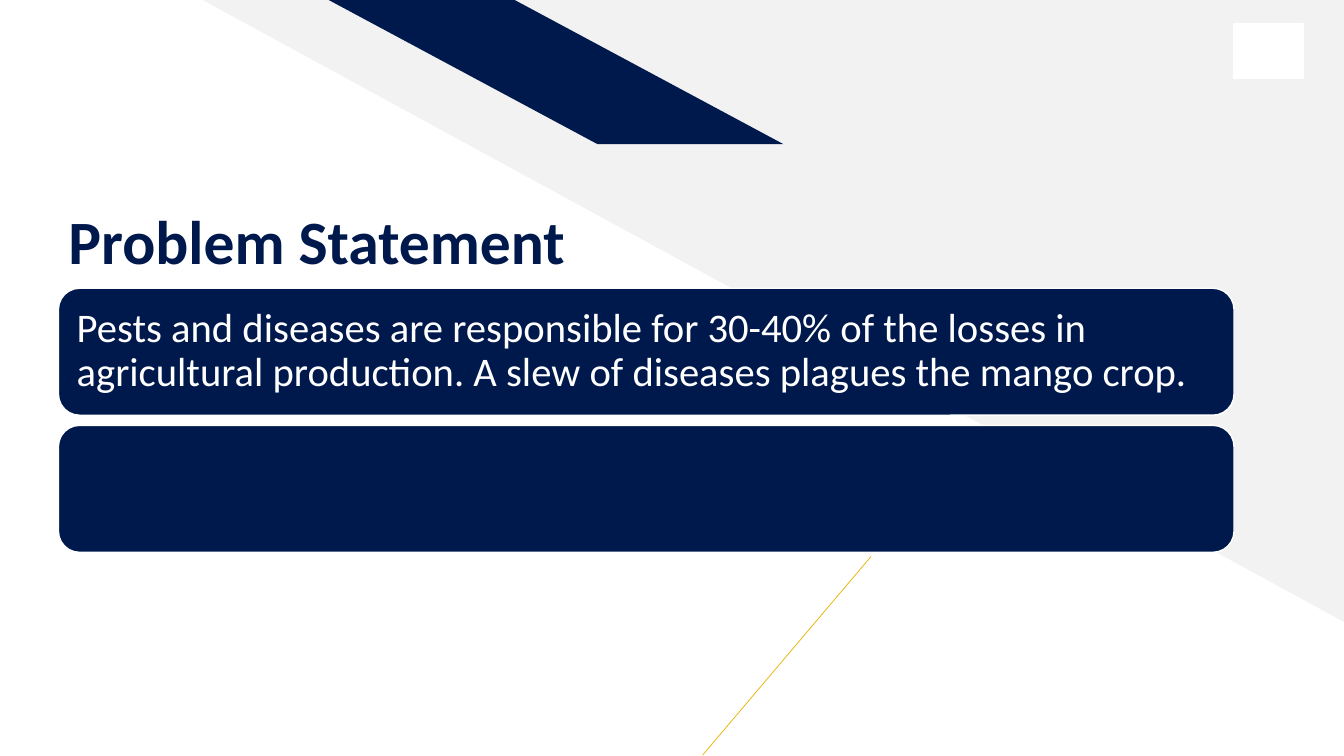
"""Build the problem statement slide."""
from dataclasses import dataclass

import lxml.etree
import pptx
import pptx.dml.color
import pptx.enum.shapes
import pptx.enum.text
import pptx.oxml.ns
import pptx.shapes.autoshape
import pptx.slide
import pptx.util

Inches = pptx.util.Inches
Kind = pptx.enum.shapes.MSO_SHAPE
Anchor = pptx.enum.text.MSO_ANCHOR

COLORS = {"navy": "00194C", "gray": "F2F2F2", "white": "FFFFFF", "gold": "EAB200"}
FONT = "Calibri"
LEFT, WIDTH = 0.58, 11.66
CARD_TOP, CARD_HIGH, CARD_GAP = 2.86, 1.26, 0.1
CARDS = [
    "Pests and diseases are responsible for 30-40% of the losses in "
    "agricultural production. A slew of diseases plagues the mango crop.",
    "",
]


@dataclass
class Block:
    """A filled preset shape, with lengths in inches."""
    kind: Kind
    left: float
    top: float
    width: float
    height: float
    fill: str
    edge: str = ""
    flip: str = ""
    adjust: float | None = None


BACKDROP = [
    Block(Kind.RIGHT_TRIANGLE, 2.01, 0, 11.32, 6.17, "gray", flip="HV"),
    Block(Kind.PARALLELOGRAM, 3.26, 0, 4.51, 1.43, "navy", flip="H", adjust=1.864),
]
BADGE = Block(Kind.RECTANGLE, 12.24, 0.24, 0.69, 0.54, "white", "white")


def color(name: str) -> pptx.dml.color.RGBColor:
    """Look up a named color."""
    return pptx.dml.color.RGBColor.from_string(COLORS[name])


def draw_block(slide: pptx.slide.Slide, block: Block) -> pptx.shapes.autoshape.Shape:
    """Draw one block on the slide."""
    shape = slide.shapes.add_shape(
        block.kind, Inches(block.left), Inches(block.top),
        Inches(block.width), Inches(block.height))
    shape.shadow.inherit = False
    shape.fill.solid()
    shape.fill.fore_color.rgb = color(block.fill)
    if block.edge:
        shape.line.color.rgb = color(block.edge)
        shape.line.width = pptx.util.Pt(1)
    else:
        shape.line.fill.background()
    if block.adjust is not None:
        shape.adjustments[0] = block.adjust
    for axis in block.flip:
        shape.element.spPr.xfrm.set(f"flip{axis}", "1")
    return shape


def draw_line(slide: pptx.slide.Slide) -> None:
    """Draw the thin gold diagonal."""
    line = slide.shapes.add_connector(
        pptx.enum.shapes.MSO_CONNECTOR.STRAIGHT,
        Inches(6.97), Inches(7.49), Inches(8.64), Inches(5.52))
    line.line.color.rgb = color("gold")
    line.line.width = pptx.util.Pt(0.5)
    lxml.etree.SubElement(line.element.spPr, pptx.oxml.ns.qn("a:effectLst"))


def write_text(shape: pptx.shapes.autoshape.Shape, text: str, size: int, ink: str,
               bold: bool, anchor: Anchor, insets: tuple[float, ...]) -> None:
    """Write one left-aligned paragraph, with insets as left, top, right, bottom."""
    frame = shape.text_frame
    frame.word_wrap = True
    frame.vertical_anchor = anchor
    (frame.margin_left, frame.margin_top,
     frame.margin_right, frame.margin_bottom) = map(Inches, insets)
    para = frame.paragraphs[0]
    para.text = text
    para.alignment = pptx.enum.text.PP_ALIGN.LEFT
    para.line_spacing = 0.9
    para.font.name = FONT
    para.font.size = pptx.util.Pt(size)
    para.font.bold = bold
    para.font.color.rgb = color(ink)


def main() -> None:
    """Build and save the slide."""
    deck = pptx.Presentation()
    deck.slide_width, deck.slide_height = Inches(13.33), Inches(7.5)
    slide = deck.slides.add_slide(deck.slide_layouts[6])
    for block in BACKDROP:
        draw_block(slide, block)
    draw_line(slide)
    draw_block(slide, BADGE)
    for row, text in enumerate(CARDS):
        top = CARD_TOP + row * (CARD_HIGH + CARD_GAP)
        card = draw_block(slide, Block(
            Kind.ROUNDED_RECTANGLE, LEFT, top, WIDTH, CARD_HIGH, "navy", "white"))
        if text:
            write_text(card, text, 29, "white", False, Anchor.MIDDLE, (0.12,) * 4)
    title = slide.shapes.add_textbox(
        Inches(LEFT), Inches(1.43), Inches(WIDTH), Inches(1.33))
    write_text(title, "Problem Statement", 44, "navy", True,
               Anchor.BOTTOM, (0.1, 0.05, 0.1, 0))
    deck.save("out.pptx")


if __name__ == "__main__":
    main()
